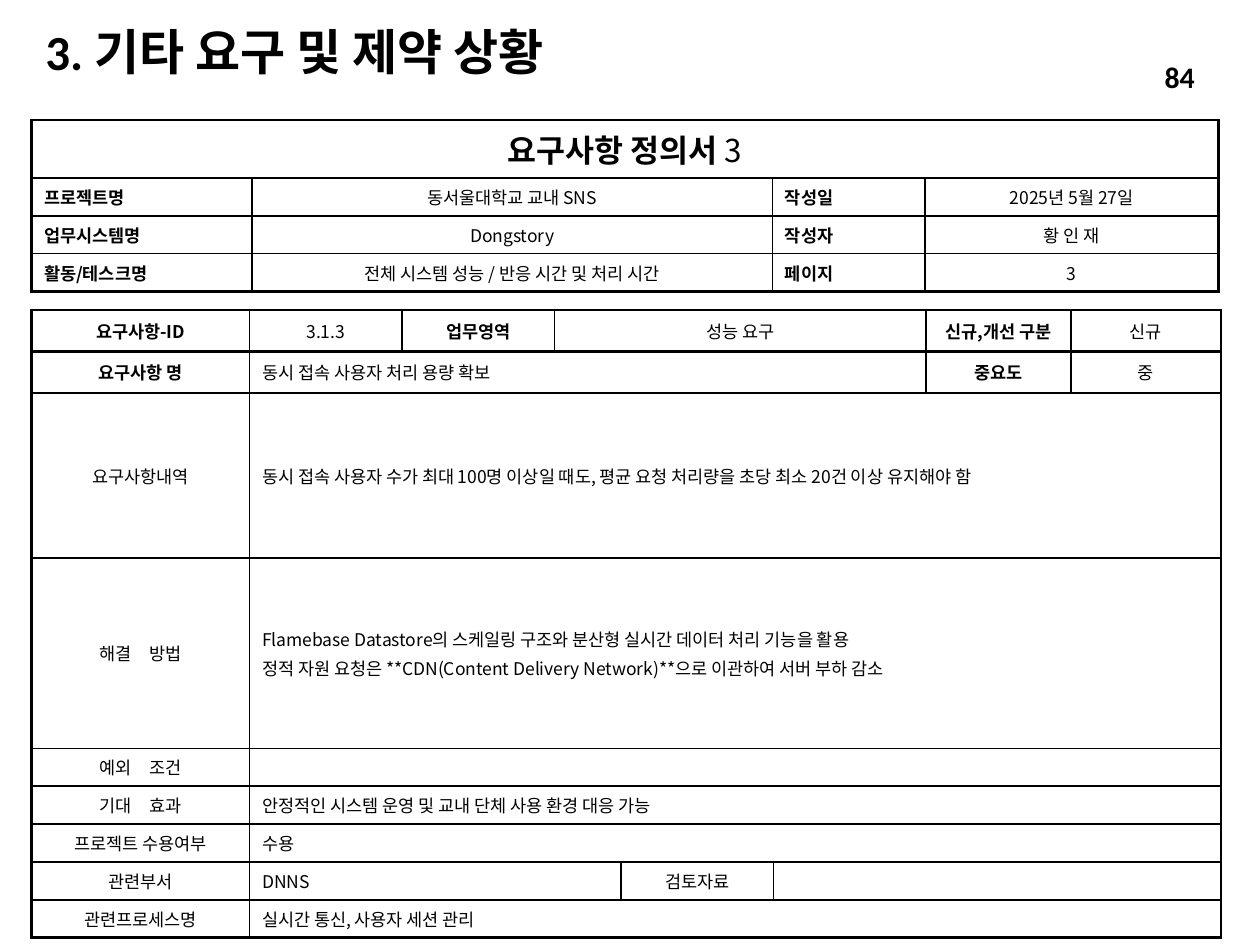
import pptx
import pptx.util
import pptx.dml.color
import pptx.enum.text
import pptx.oxml.ns
from lxml import etree

Inches = pptx.util.Inches
Pt = pptx.util.Pt
ALIGN = pptx.enum.text.PP_ALIGN
ANCHOR = pptx.enum.text.MSO_ANCHOR
qn = pptx.oxml.ns.qn

COLORS = {"ink": "000000"}
SIDES = {"c": ALIGN.CENTER, "l": ALIGN.LEFT, "r": ALIGN.RIGHT, "j": ALIGN.JUSTIFY}
THIN, THICK = 1, 1.5


def write(para, text, size=10, bold=False, font="Noto Sans CJK KR", side="l"):
    """Add one formatted run to a paragraph."""
    para.alignment = SIDES[side]
    run = para.add_run()
    run.text = text
    run.font.size = Pt(size)
    run.font.bold = bold
    run.font.name = font
    run.font.color.rgb = pptx.dml.color.RGBColor.from_string(COLORS["ink"])
    if font.startswith("Noto"):
        etree.SubElement(run.font._element, qn("a:ea"), typeface=font)


def edge(cell, tag, width):
    """Draw one border of a cell; calls must run in the order L, R, T, B."""
    props = cell._tc.get_or_add_tcPr()
    line = etree.SubElement(props, qn("a:ln" + tag), w=str(Pt(width)))
    fill = etree.SubElement(line, qn("a:solidFill"))
    etree.SubElement(fill, qn("a:srgbClr"), val=COLORS["ink"])


class Page:
    def __init__(self, deck):
        self.slide = deck.slides.add_slide(deck.slide_layouts[5])
        self.font = "Calibri"

    def title(self, text, box):
        shape = self.slide.shapes.title
        shape.left, shape.top, shape.width, shape.height = map(Inches, box)
        frame = shape.text_frame
        frame.vertical_anchor = ANCHOR.MIDDLE
        para = frame.paragraphs[0]
        para.line_spacing = 0.9
        write(para, text, size=28, bold=True, font=self.font)

    def number(self, text, box):
        frame = self.slide.shapes.add_textbox(*map(Inches, box)).text_frame
        frame.word_wrap = True
        frame.vertical_anchor = ANCHOR.MIDDLE
        write(frame.paragraphs[0], text, size=17, bold=True, font=self.font, side="r")

    def table(self, place, cols, rows, data, heavy=(), anchor=ANCHOR.MIDDLE):
        """Fill rows of (text, style, span); heavy lists rows with a thick lower rule."""
        size = sum(cols), sum(rows)
        frame = self.slide.shapes.add_table(
            len(rows), len(cols), *map(Inches, (*place, *size)))
        grid = frame.table
        grid.first_row = grid.horz_banding = False
        for col, width in zip(grid.columns, cols):
            col.width = Inches(width)
        for row, height in zip(grid.rows, rows):
            row.height = Inches(height)
        ends = {-1, len(rows) - 1, *heavy}
        for r, items in enumerate(data):
            c = 0
            for text, style, span in items:
                last = c + span - 1
                if span > 1:
                    grid.cell(r, c).merge(grid.cell(r, last))
                for k in range(c, last + 1):
                    cell = grid.cell(r, k)
                    if k == c:
                        edge(cell, "L", THIN if c else THICK)
                    if k in (c, last):
                        edge(cell, "R", THICK if last == len(cols) - 1 else THIN)
                    edge(cell, "T", THICK if r - 1 in ends else THIN)
                    edge(cell, "B", THICK if r in ends else THIN)
                    cell.fill.background()
                    cell.vertical_anchor = anchor
                    self.fill(cell, text if k == c else "", style)
                c += span
        return grid

    def fill(self, cell, text, style):
        frame = cell.text_frame
        if not text:
            etree.SubElement(frame.paragraphs[0]._p, qn("a:endParaRPr"), sz="1000")
            return
        for i, line in enumerate(text.split("\n")):
            para = frame.add_paragraph() if i else frame.paragraphs[0]
            if i:
                para.space_before = Pt(2)
            write(para, line, side=style[0], bold="b" in style)


def main():
    deck = pptx.Presentation()
    deck.slide_width, deck.slide_height = Inches(10), Inches(7.5)
    page = Page(deck)
    page.title("3. 기타 요구 및 제약 상황", (0.26, 0.21, 5.36, 0.44))

    facts = [
        ("요구사항-ID", "cb", 1), ("3.1.3", "c", 1), ("업무영역", "cb", 1),
        ("성능 요구", "c", 3), ("신규,개선 구분", "cb", 1), ("신규", "c", 1),
    ]
    name = [
        ("요구사항 명", "cb", 1), ("동시 접속 사용자 처리 용량 확보", "l", 5),
        ("중요도", "cb", 1), ("중", "c", 1),
    ]
    dept = [("관련부서", "c", 1), ("DNNS", "l", 3), ("검토자료", "c", 1), ("", "l", 3)]
    wide = [
        ("요구사항내역", "동시 접속 사용자 수가 최대 100명 이상일 때도, "
         "평균 요청 처리량을 초당 최소 20건 이상 유지해야 함"),
        ("해결　방법", "Flamebase Datastore의 스케일링 구조와 분산형 실시간 데이터 처리 기능을 활용\n"
         "정적 자원 요청은 **CDN(Content Delivery Network)**으로 이관하여 서버 부하 감소"),
        ("예외　조건", ""),
        ("기대　효과", "안정적인 시스템 운영 및 교내 단체 사용 환경 대응 가능"),
        ("프로젝트 수용여부", "수용"),
        ("관련프로세스명", "실시간 통신, 사용자 세션 관리"),
    ]
    body = [[(label, "c", 1), (text, "l", 7)] for label, text in wide]
    page.table(
        (0.25, 2.46), [1.73, 1.21, 1.21, 0.53, 1.21, 1.21, 1.15, 1.19],
        [0.33, 0.33, 1.31, 1.51] + [0.3] * 5,
        [facts, name, *body[:-1], dept, body[-1]], heavy=(0, 1))

    info = [
        ("프로젝트명", "동서울대학교 교내 SNS", "작성일", "2025년 5월 27일"),
        ("업무시스템명", "Dongstory", "작성자", "황 인 재"),
        ("활동/테스크명", "전체 시스템 성능 / 반응 시간 및 처리 시간", "페이지", "3"),
    ]
    lines = [[(text, style, 1) for text, style in zip(row, ("jb", "c") * 2)]
             for row in info]
    head = page.table(
        (0.25, 0.95), [1.75, 4.13, 1.21, 2.33], [0.46] + [0.3] * 3,
        [[("", "c", 4)], *lines], anchor=ANCHOR.TOP).cell(0, 0)
    head.vertical_anchor = ANCHOR.MIDDLE
    para = head.text_frame.paragraphs[0]
    write(para, "요구사항 정의서 ", size=18, bold=True, side="c")
    write(para, "3", size=18, side="c")

    page.number("84", (7.96, 0.41, 1.62, 0.4))
    deck.save("out.pptx")


if __name__ == "__main__":
    main()
